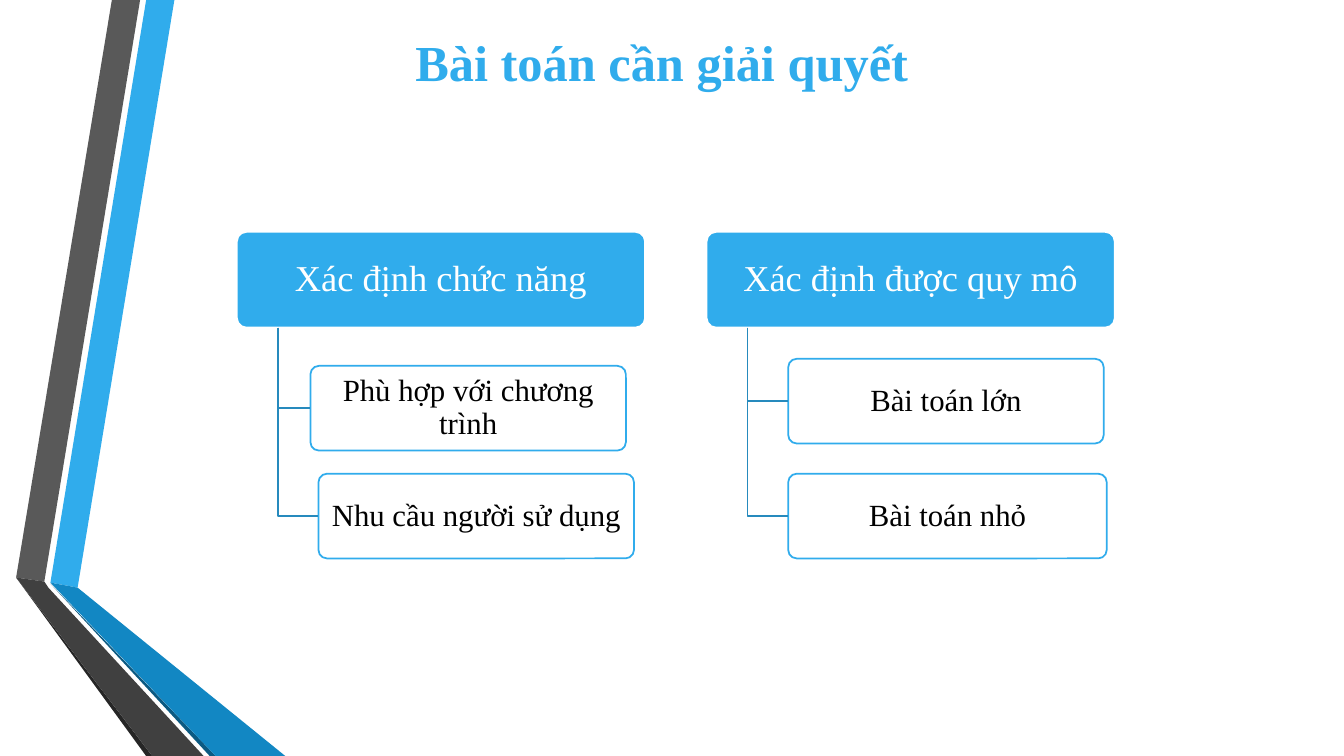
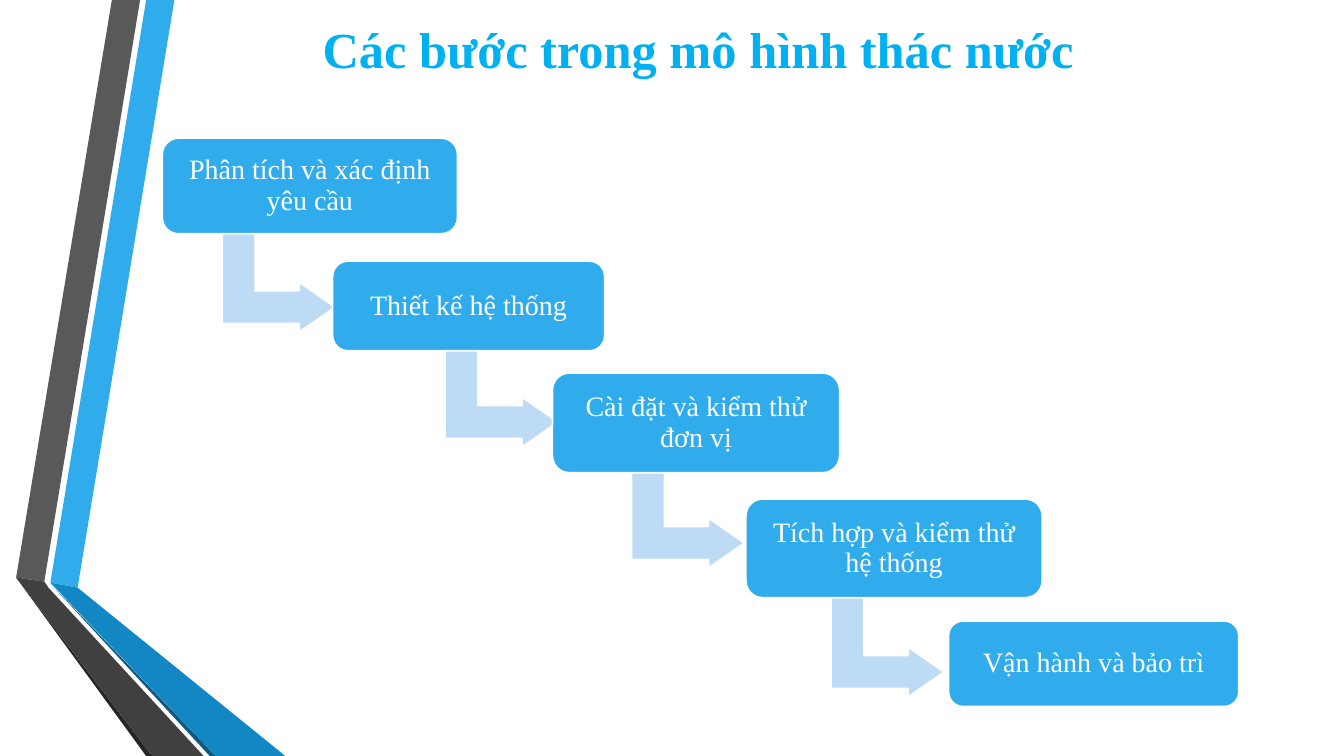
from pptx import Presentation
from pptx.dml.color import RGBColor
from pptx.enum.shapes import MSO_SHAPE
from pptx.enum.text import MSO_ANCHOR, PP_ALIGN
from pptx.util import Inches, Pt

BLUE = RGBColor(0x30, 0xAC, 0xEC)
TITLE_BLUE = RGBColor(0x00, 0xB0, 0xF0)
SPINE_BLUE = RGBColor(0x26, 0x8A, 0xBD)
FOLD_BLUE = RGBColor(0x12, 0x87, 0xC3)
FOLD_NAVY = RGBColor(0x0C, 0x5A, 0x82)
PALE_BLUE = RGBColor(0xBE, 0xDB, 0xF6)
GREY = RGBColor(0x59, 0x59, 0x59)
DARK_GREY = RGBColor(0x40, 0x40, 0x40)
NEAR_BLACK = RGBColor(0x26, 0x26, 0x26)
BLACK = RGBColor(0, 0, 0)
WHITE = RGBColor(0xFF, 0xFF, 0xFF)

deck = Presentation()
deck.slide_width, deck.slide_height = Inches(13.33), Inches(7.5)
# All places and sizes below are in columns and rows of a 40 x 30 grid.
COL, ROW = deck.slide_width / 40, deck.slide_height / 30

FONT = {"name": "Times New Roman", "bold": False}
TITLE_FONT = {**FONT, "size": Pt(36), "bold": True}
HEADER_FONT = {**FONT, "size": Pt(26)}
BRANCH_FONT = {**FONT, "size": Pt(22)}
STEP_FONT = {**FONT, "size": Pt(20)}


def write(frame, text, font, color, margins, align=PP_ALIGN.CENTER,
          anchor=MSO_ANCHOR.MIDDLE, line_spacing=0.9):
    """Put one paragraph in a text frame; margins are (sides, top and bottom) in inches."""
    side, end = map(Inches, margins)
    layout = {"word_wrap": True, "vertical_anchor": anchor, "margin_left": side,
              "margin_right": side, "margin_top": end, "margin_bottom": end}
    for key, value in layout.items():
        setattr(frame, key, value)
    paragraph = frame.paragraphs[0]
    paragraph.alignment, paragraph.line_spacing = align, line_spacing
    run = paragraph.add_run()
    run.text = text
    for key, value in font.items():
        setattr(run.font, key, value)
    run.font.color.rgb = color


def add_box(slide, preset, area, adjustments, fill, line):
    left, top, width, height = area
    box = slide.shapes.add_shape(preset, round(left * COL), round(top * ROW),
                                 round(width * COL), round(height * ROW))
    for index, value in enumerate(adjustments):
        box.adjustments[index] = value
    box.shadow.inherit = False
    box.fill.solid()
    box.fill.fore_color.rgb = fill
    box.line.color.rgb = line
    box.line.width = Pt(1.25)
    return box


# Slides and their titles
title_layout = deck.slide_layouts[5]
titles = [
    ("Bài toán cần giải quyết", BLUE, PP_ALIGN.CENTER, (7.02, 1.04, 25.35)),
    ("Các bước trong mô hình thác nước", TITLE_BLUE, PP_ALIGN.LEFT, (9.3, 0.52, 25)),
]
for text, color, align, (left, top, width) in titles:
    title = deck.slides.add_slide(title_layout).shapes.title
    title.left, title.top = round(left * COL), round(top * ROW)
    title.width, title.height = round(width * COL), round(2.84 * ROW)
    write(title.text_frame, text, TITLE_FONT, color, (0.1, 0.05), align,
          MSO_ANCHOR.TOP, 1.0)
problem_slide, waterfall_slide = deck.slides

# Folded bands at the left edge, kept in the shared layout
bands = [
    (BLUE, [(1.5, 23.12), (2.31, 23.32), (5.19, 0), (4.35, 0)]),
    (GREY, [(4.17, 0), (3.33, 0), (0.48, 22.92), (1.32, 23.08)]),
    (NEAR_BLACK, [(0.48, 22.92), (4.35, 30), (4.53, 30)]),
    (FOLD_NAVY, [(1.5, 23.16), (6.24, 30), (6.42, 30)]),
    (FOLD_BLUE, [(1.5, 23.12), (6.42, 30), (8.49, 30), (2.31, 23.32)]),
    (DARK_GREY, [(6.06, 30), (1.44, 23.32), (1.32, 23.08), (0.48, 22.92), (4.53, 30)]),
]
for color, corners in bands:
    points = [(x * COL, y * ROW) for x, y in corners]
    outline = problem_slide.shapes.build_freeform(*points[0])
    band = outline.add_line_segments(points[1:]).convert_to_shape()
    band.shadow.inherit = False
    band.fill.solid()
    band.fill.fore_color.rgb = color
    band.line.fill.background()
    title_layout.shapes.element.append(band.element)

# Slide 1: two headers, each with two branches (left, top, width)
HEADER_TOP, HEADER_WIDTH, HEADER_HEIGHT, BRANCH_HEIGHT = 9.2, 12.15, 3.8, 3.36
problems = [
    ("Xác định chức năng", 7.05, [
        ("Phù hợp với chương trình", 9.24, 14.52, 9.39),
        ("Nhu cầu người sử dụng", 9.48, 18.8, 9.39)]),
    ("Xác định được quy mô", 21.03, [
        ("Bài toán lớn", 23.46, 14.24, 9.39),
        ("Bài toán nhỏ", 23.46, 18.8, 9.48)]),
]
for heading, header_left, branches in problems:
    header = add_box(problem_slide, MSO_SHAPE.ROUNDED_RECTANGLE,
                     (header_left, HEADER_TOP, HEADER_WIDTH, HEADER_HEIGHT),
                     [0.1], BLUE, WHITE)
    write(header.text_frame, heading, HEADER_FONT, WHITE, (0.05, 0.04))
    spine_x = header.left + header.width / 10
    for text, left, top, width in branches:
        branch = add_box(problem_slide, MSO_SHAPE.ROUNDED_RECTANGLE,
                         (left, top, width, BRANCH_HEIGHT), [0.1], WHITE, BLUE)
        write(branch.text_frame, text, BRANCH_FONT, BLACK, (0.05, 0.03))
        middle = branch.top + branch.height / 2
        route = problem_slide.shapes.build_freeform(spine_x, header.top + header.height)
        route.add_line_segments([(spine_x, middle), (branch.left, middle)], close=False)
        elbow = route.convert_to_shape()
        elbow.shadow.inherit = False
        elbow.fill.background()
        elbow.line.color.rgb = SPINE_BLUE
        elbow.line.width = Pt(1.25)

# Slide 2: steps of the waterfall, each with the corner of the arrow to the next
ARROW_SIZE = (2.97, 4.48)
steps = [
    ("Phân tích và xác định yêu cầu", (4.83, 5.48, 8.79, 3.8), (6.81, 8.96)),
    ("Thiết kế hệ thống", (9.9, 10.36, 8.1, 3.56), (13.44, 13.52)),
    ("Cài đặt và kiểm thử đơn vị", (16.44, 14.8, 8.55, 3.96), (18.99, 18.32)),
    ("Tích hợp và kiểm thử hệ thống", (22.2, 19.8, 8.82, 3.92), (24.93, 23.44)),
    ("Vận hành và bảo trì", (28.23, 24.64, 8.64, 3.4), None),
]
for text, area, arrow_corner in steps:
    if arrow_corner:
        arrow = add_box(waterfall_slide, MSO_SHAPE.BENT_UP_ARROW,
                        arrow_corner + ARROW_SIZE, [0.33, 0.25, 0.36], PALE_BLUE, WHITE)
        arrow.rotation = 90
    step = add_box(waterfall_slide, MSO_SHAPE.ROUNDED_RECTANGLE, area, [0.17], BLUE, WHITE)
    write(step.text_frame, text, STEP_FONT, WHITE, (0.08, 0.08))

deck.save("out.pptx")
